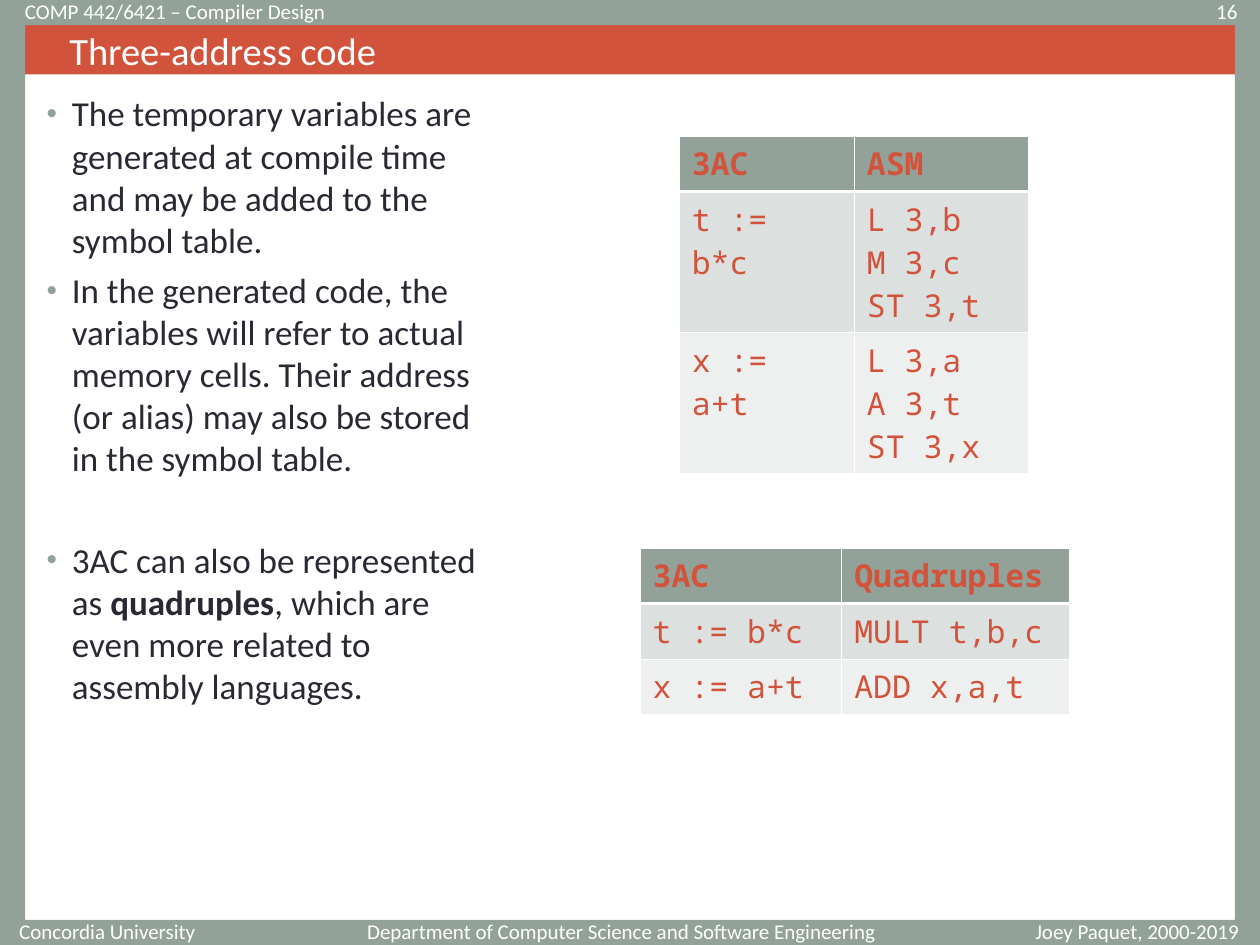
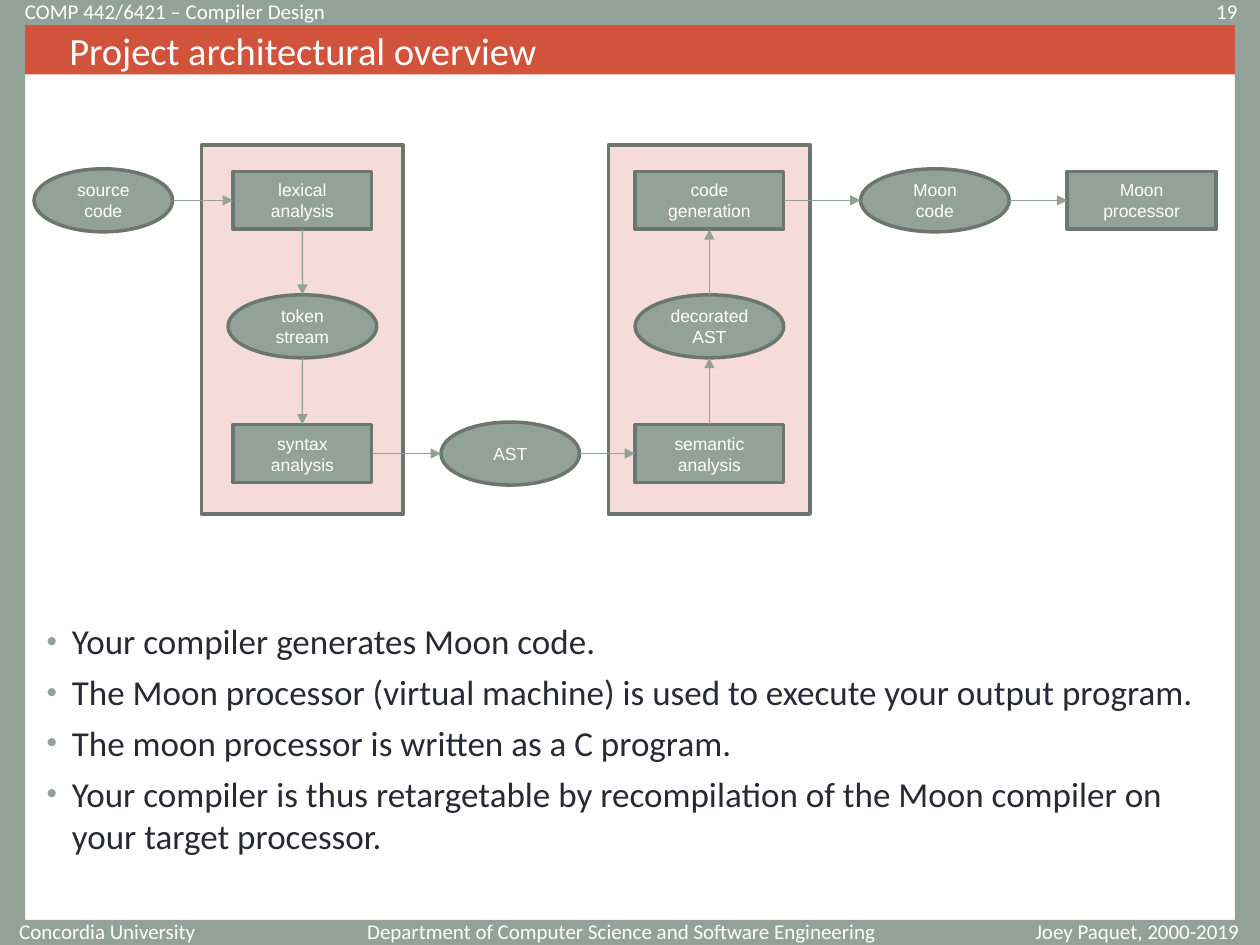
from lxml.etree import SubElement
from pptx import Presentation
from pptx.dml.color import RGBColor
from pptx.enum.shapes import MSO_CONNECTOR, MSO_SHAPE
from pptx.enum.text import MSO_ANCHOR, MSO_AUTO_SIZE, PP_ALIGN
from pptx.oxml.ns import qn
from pptx.util import Inches, Pt

# Shared look
W, H, EDGE = 10, 7.5, 0.2
HEX = {"sage": "93A299", "dark": "6B766F", "red": "D2533C", "ink": "292934",
       "white": "FFFFFF", "odd": "DCE0DE", "even": "EEF0EF"}
SANS, MONO, LABEL = "Calibri", "Noto Sans Mono", "Arial"
LEFT, MID, RIGHT = PP_ALIGN.LEFT, PP_ALIGN.CENTER, PP_ALIGN.RIGHT

BANDS = [(0, 0, W, EDGE), (0, H - EDGE, W, EDGE),
         (0, 0, EDGE, H), (W - EDGE, 0, EDGE, H)]
TOP, FOOT = 0.03, 7.33
NOTES = [("Concordia University", 0, FOOT, 1.65, RIGHT),
         ("Department of Computer Science and Software Engineering",
          2.8, FOOT, 4.25, RIGHT),
         ("Joey Paquet, 2000-2019", 8.05, FOOT, 1.95, MID),
         ("COMP 442/6421 – Compiler Design", 0.1, TOP, 5.6, LEFT)]

# Slide content: bullets are (space before, runs), runs are (text, bold)
CODE = {
    "title": "Three-address code", "page": "16",
    "box": (0.27, 0.68, 3.74, 6.54),
    "list": [
        (0, [("The temporary variables are generated at compile time and may "
              "be added to the symbol table.", False)]),
        (5, [("In the generated code, the variables will refer to actual "
              "memory cells. Their address (or alias) may also be stored in "
              "the symbol table.", False)]),
        (34, [("3AC can also be represented as ", False), ("quadruples", True),
              (", which are even more related to assembly languages.",
               False)]),
    ],
}
LINE, PAD = 0.34, 0.1  # height of a code line, padding of a table row
GRIDS = [  # left, top, column widths, cells
    (5.39, 1.08, (1.39, 1.38),
     [("3AC", "ASM"),
      ("t := b*c", "L 3,b\nM 3,c\nST 3,t"),
      ("x := a+t", "L 3,a\nA 3,t\nST 3,x")]),
    (5.08, 4.35, (1.6, 1.81),
     [("3AC", "Quadruples"),
      ("t := b*c", "MULT t,b,c"),
      ("x := a+t", "ADD x,a,t")]),
]

PLAN = {
    "title": "Project architectural overview", "page": "19",
    "box": (0.27, 4.87, 9.45, 2.34),
    "list": [
        (0, [("Your compiler generates Moon code.", False)]),
        (5, [("The Moon processor (virtual machine) is used to execute your "
              "output program.", False)]),
        (5, [("The moon processor is written as a C program.", False)]),
        (5, [("Your compiler is thus retargetable by recompilation of the "
              "Moon compiler on your target processor.", False)]),
    ],
}
COLS = (0.82, 2.4, 4.05, 5.63, 7.42, 9.06)  # centres of the flow grid
ROWS = (1.59, 2.59, 3.6)
STAGES = (1, 3)  # columns with a tinted frame
FRAME = (1.15, 1.6, 2.93)  # top, width, height
STEP, DATA = (MSO_SHAPE.RECTANGLE, 0.46), (MSO_SHAPE.OVAL, 0.5)
FLOW = [  # in order of flow: label, column, row, kind, width
    ("source code", 0, 0, DATA, 1.1),
    ("lexical analysis", 1, 0, STEP, 1.1),
    ("token stream", 1, 1, DATA, 1.18),
    ("syntax analysis", 1, 2, STEP, 1.1),
    ("AST", 2, 2, DATA, 1.1),
    ("semantic analysis", 3, 2, STEP, 1.18),
    ("decorated AST", 3, 1, DATA, 1.18),
    ("code generation", 3, 0, STEP, 1.18),
    ("Moon code", 4, 0, DATA, 1.18),
    ("Moon\nprocessor", 5, 0, STEP, 1.18),
]


def tone(name):
    return RGBColor.from_string(HEX[name])


def paint(shape, fill, line=None):
    shape.fill.solid()
    shape.fill.fore_color.rgb = tone(fill)
    if line:
        shape.line.color.rgb = tone(line)
        shape.line.width = Pt(2)
    else:
        shape.line.fill.background()


def block(slide, kind, box, fill, line=None):
    shape = slide.shapes.add_shape(kind, *map(Inches, box))
    shape.shadow.inherit = False
    paint(shape, fill, line)
    return shape


def write(para, text, size, face, hue, bold=False):
    run = para.add_run()
    run.text = text
    font = run.font
    font.size, font.name, font.bold = Pt(size), face, bold
    font.color.rgb = tone(hue)


def lines(frame, text, size, face, hue, bold=False, align=LEFT):
    frame.word_wrap = True
    for i, part in enumerate(text.split("\n")):
        para = frame.add_paragraph() if i else frame.paragraphs[0]
        para.alignment = align
        write(para, part, size, face, hue, bold)


def place(shape, box):
    shape.left, shape.top, shape.width, shape.height = map(Inches, box)
    shape.text_frame.auto_size = MSO_AUTO_SIZE.NONE


def bullet(para):
    props = para._p.get_or_add_pPr()
    props.set("marL", str(Inches(0.2)))
    props.set("indent", str(-Inches(0.2)))
    hue = SubElement(props, qn("a:buClr"))
    SubElement(hue, qn("a:srgbClr"), val=HEX["sage"])
    SubElement(props, qn("a:buSzPct"), val="85000")
    SubElement(props, qn("a:buFont"), typeface=LABEL)
    SubElement(props, qn("a:buChar"), char="•")


def start(deck, data):
    """Add a slide with bands, margin notes, title and list."""
    slide = deck.slides.add_slide(deck.slide_layouts[1])
    for band in BANDS:
        block(slide, MSO_SHAPE.RECTANGLE, band, "sage")
    for text, x, y, wide, align in NOTES + [
            (data["page"], 8.75, TOP, 1.17, RIGHT)]:
        note = slide.shapes.add_textbox(*map(Inches, (x, y, wide, 0.12)))
        note.text_frame.vertical_anchor = MSO_ANCHOR.MIDDLE
        lines(note.text_frame, text, 12, SANS, "white", align=align)

    # Title bar
    title = slide.shapes.title
    place(title, (EDGE, EDGE, W - 2 * EDGE, 0.39))
    paint(title, "red")
    title.text_frame.vertical_anchor = MSO_ANCHOR.MIDDLE
    lines(title.text_frame, data["title"], 22, SANS, "white")
    title.text_frame.paragraphs[0]._p.get_or_add_pPr().set(
        "marL", str(Inches(0.25)))

    # Bulleted list
    body = slide.placeholders[1]
    place(body, data["box"])
    for i, (gap, runs) in enumerate(data["list"]):
        frame = body.text_frame
        para = frame.add_paragraph() if i else frame.paragraphs[0]
        bullet(para)
        para.space_before = Pt(gap)
        for text, bold in runs:
            write(para, text, 20, SANS, "ink", bold)
    return slide


def border(cell, row):
    props = cell._tc.get_or_add_tcPr()
    for side in "LRTB":
        thick = (row, side) in ((0, "B"), (1, "T"))
        line = SubElement(props, qn("a:ln" + side),
                          w=str(Pt(1.5 if thick else 0.5)))
        fill = SubElement(line, qn("a:solidFill"))
        SubElement(fill, qn("a:srgbClr"), val=HEX["white"])


def grid(slide, x, y, wides, cells):
    # Each row is as high as its longest cell needs
    highs = [PAD + LINE * max(text.count("\n") + 1 for text in row)
             for row in cells]
    size = map(Inches, (x, y, sum(wides), sum(highs)))
    table = slide.shapes.add_table(len(highs), len(wides), *size).table
    for col, wide in zip(table.columns, wides):
        col.width = Inches(wide)
    for r, texts in enumerate(cells):
        table.rows[r].height = Inches(highs[r])
        for c, text in enumerate(texts):
            cell = table.cell(r, c)
            border(cell, r)
            cell.fill.solid()
            cell.fill.fore_color.rgb = tone(("sage", "odd", "even")[r])
            lines(cell.text_frame, text, 18, MONO, "red", bold=r == 0)


def side(shape, site):
    """Middle of a side: 0 top, 1 left, 2 bottom, 3 right."""
    dx, dy = ((0.5, 0), (0, 0.5), (0.5, 1), (1, 0.5))[site]
    return (int(shape.left + dx * shape.width),
            int(shape.top + dy * shape.height))


def arrow(slide, one, two, sites):
    ends = side(one, sites[0]) + side(two, sites[1])
    link = slide.shapes.add_connector(MSO_CONNECTOR.STRAIGHT, *ends)
    if one.auto_shape_type == MSO_SHAPE.RECTANGLE:
        link.begin_connect(one, sites[0])
    if two.auto_shape_type == MSO_SHAPE.RECTANGLE:
        link.end_connect(two, sites[1])
    link.line.color.rgb = tone("sage")
    link.line.width = Pt(0.75)
    SubElement(link.line._get_or_add_ln(), qn("a:tailEnd"), type="triangle")
    SubElement(link._element.spPr, qn("a:effectLst"))


def flow(slide):
    # Tinted frames
    top, wide, high = FRAME
    for col in STAGES:
        frame = block(slide, MSO_SHAPE.RECTANGLE,
                      (COLS[col] - wide / 2, top, wide, high), "red", "dark")
        hue = frame._element.spPr.find(qn("a:solidFill"))[0]
        SubElement(hue, qn("a:alpha"), val="20000")

    # Steps and data
    nodes = []
    for text, col, row, (kind, high), wide in FLOW:
        box = (COLS[col] - wide / 2, ROWS[row] - high / 2, wide, high)
        node = block(slide, kind, box, "sage", "dark")
        node.text_frame.vertical_anchor = MSO_ANCHOR.MIDDLE
        lines(node.text_frame, text, 10, LABEL, "white", align=MID)
        nodes.append(node)

    # Arrows from each node to the next
    for i in range(len(FLOW) - 1):
        (_, c1, r1, *_), (_, c2, r2, *_) = FLOW[i], FLOW[i + 1]
        sites = (3, 1) if c2 > c1 else (2, 0) if r2 > r1 else (0, 2)
        arrow(slide, nodes[i], nodes[i + 1], sites)


def main():
    deck = Presentation()
    deck.slide_width, deck.slide_height = Inches(W), Inches(H)
    code = start(deck, CODE)
    for item in GRIDS:
        grid(code, *item)
    flow(start(deck, PLAN))
    deck.save("out.pptx")


if __name__ == "__main__":
    main()
